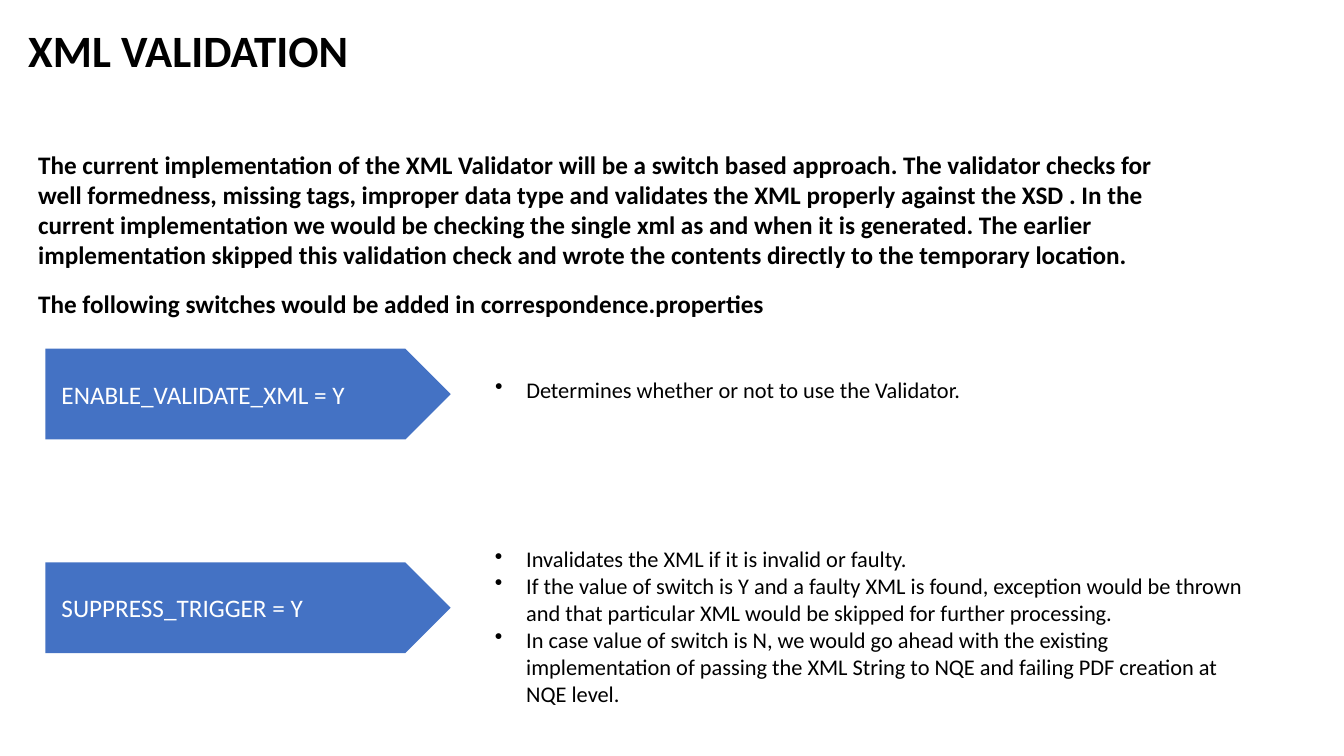
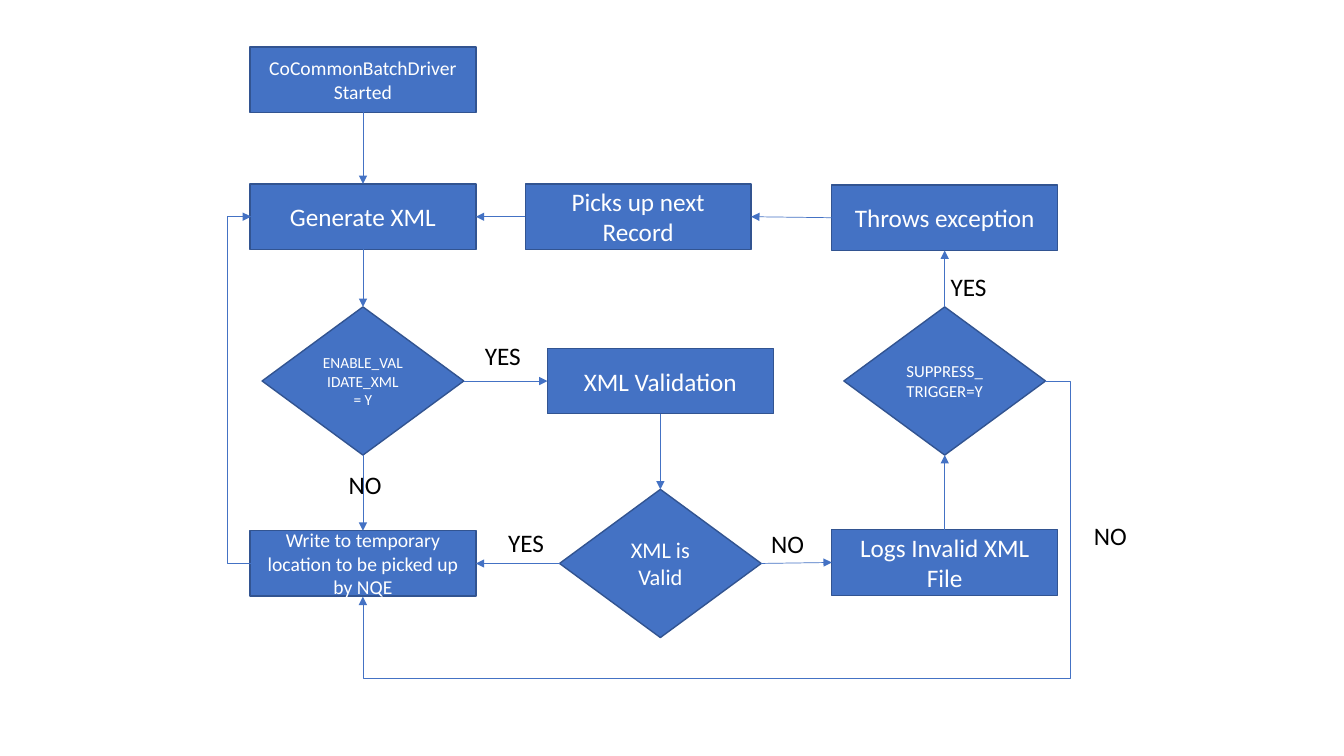
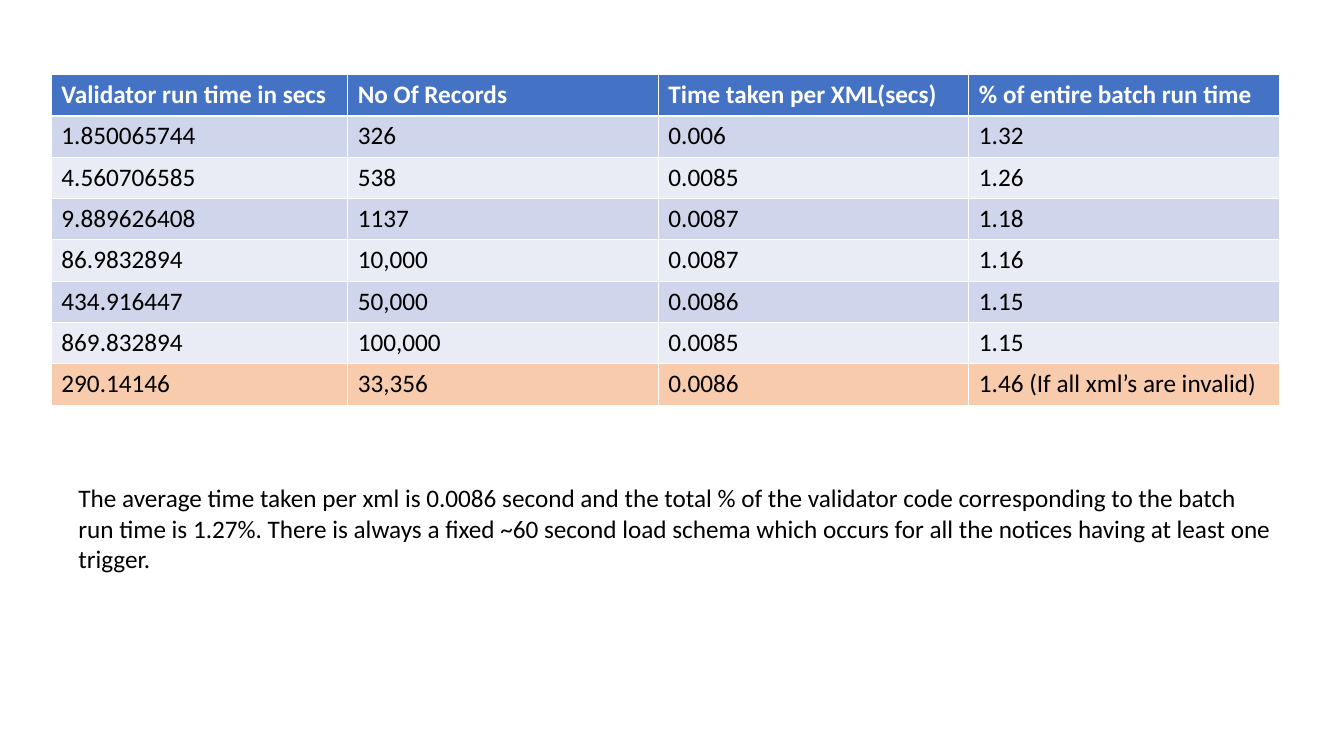
from dataclasses import dataclass
from typing import Optional

import lxml.etree
import pptx
import pptx.dml.color
import pptx.enum.shapes
import pptx.enum.text
import pptx.oxml.ns
import pptx.util

Inches = pptx.util.Inches
Pt = pptx.util.Pt
SHAPES = pptx.enum.shapes.MSO_SHAPE
ALIGN = pptx.enum.text.PP_ALIGN
ANCHOR = pptx.enum.text.MSO_ANCHOR

# Shared look
FONT = "Calibri"
BLUE = "4472C4"
DARK_BLUE = "325491"
BLACK = "000000"
WHITE = "FFFFFF"
BAND_DARK = "CFD5EA"
BAND_LIGHT = "E9EBF5"
HIGHLIGHT = "F8CBAD"
DEFAULT_INSETS = (0.1, 0.05, 0.1, 0.05)
NO_INSETS = (0, 0, 0, 0)

TITLE_ONLY_LAYOUT = 5
BLANK_LAYOUT = 6

# Connection sites of rectangles and diamonds
TOP, LEFT, BOTTOM, RIGHT = range(4)


@dataclass
class Switch:
    setting: str
    arrow_top: float
    bullets: list[str]
    bullets_top: float
    bullets_width: float
    bullets_height: float


@dataclass
class Node:
    text: str
    center_x: float
    center_y: float
    size: int = 18
    decision: bool = False


@dataclass
class Arrow:
    start: str
    start_site: int
    end: str
    end_site: int


@dataclass
class Elbow:
    start: tuple[float, float]
    end: tuple[float, float]
    via_x: float
    via_y: Optional[float] = None


@dataclass
class Label:
    text: str
    left: float
    top: float


INTRODUCTION = [
    "The current implementation of the XML Validator will be a switch based approach. "
    "The validator checks for well formedness, missing tags, improper data type and "
    "validates the XML properly against the XSD . In the current implementation we would "
    "be checking the single xml as and when it is generated. The earlier implementation "
    "skipped this validation check and wrote the contents directly to the temporary location.",
    "The following switches would be added in correspondence.properties",
]

SWITCHES = [
    Switch("ENABLE_VALIDATE_XML = Y", 3.46,
           ["Determines whether or not to use the Validator."], 3.73, 7.05, 1.24),
    Switch("SUPPRESS_TRIGGER = Y", 5.58, [
        "Invalidates the XML if it is invalid or faulty.",
        "If the value of switch is Y and a faulty XML is found, exception would be thrown "
        "and that particular XML would be skipped for further processing.",
        "In case value of switch is N, we would go ahead with the existing implementation of "
        "passing the XML String to NQE and failing PDF creation at NQE level.",
    ], 5.41, 7.44, 1.88),
]

NODES = {
    "start": Node("CoCommonBatchDriver Started", 3.6, 0.79, 14),
    "generate": Node("Generate XML", 3.6, 2.15),
    "next": Node("Picks up next Record", 6.33, 2.15),
    "exception": Node("Throws exception", 9.37, 2.16),
    "enabled": Node("ENABLE_VALIDATE_XML = Y", 3.6, 3.78, 11, True),
    "validation": Node("XML Validation", 6.55, 3.78),
    "suppress": Node("SUPPRESS_TRIGGER=Y", 9.37, 3.78, 12, True),
    "write": Node("Write to temporary location to be picked up by NQE", 3.6, 5.59, 14),
    "valid": Node("XML is Valid", 6.55, 5.59, 16, True),
    "log": Node("Logs Invalid XML File", 9.37, 5.58),
}

ARROWS = [
    Arrow("start", BOTTOM, "generate", TOP),
    Arrow("generate", BOTTOM, "enabled", TOP),
    Arrow("enabled", RIGHT, "validation", LEFT),
    Arrow("enabled", BOTTOM, "write", TOP),
    Arrow("validation", BOTTOM, "valid", TOP),
    Arrow("valid", LEFT, "write", RIGHT),
    Arrow("valid", RIGHT, "log", LEFT),
    Arrow("log", TOP, "suppress", BOTTOM),
    Arrow("suppress", TOP, "exception", BOTTOM),
    Arrow("exception", LEFT, "next", RIGHT),
    Arrow("next", LEFT, "generate", RIGHT),
]

ELBOWS = [
    Elbow((2.5, 5.59), (2.49, 2.15), 2.25),
    Elbow((10.37, 3.78), (3.6, 5.92), 10.62, 6.73),
]

LABELS = [
    Label("YES", 4.71, 3.33),
    Label("YES", 4.94, 5.18),
    Label("YES", 9.33, 2.64),
    Label("NO", 3.36, 4.61),
    Label("NO", 7.55, 5.19),
    Label("NO", 10.75, 5.11),
]

TIMINGS = [
    ["Validator run time in secs", "No Of Records", "Time taken per XML(secs)",
     "% of entire batch run time"],
    ["1.850065744", "326", "0.006", "1.32"],
    ["4.560706585", "538", "0.0085", "1.26"],
    ["9.889626408", "1137", "0.0087", "1.18"],
    ["86.9832894", "10,000", "0.0087", "1.16"],
    ["434.916447", "50,000", "0.0086", "1.15"],
    ["869.832894", "100,000", "0.0085", "1.15"],
    ["290.14146", "33,356", "0.0086", "1.46 (If all xml’s are invalid)"],
]
COLUMN_WIDTHS = [2.94, 3.08, 3.08, 3.08]
ROW_HEIGHT = 0.41

SUMMARY = (
    "The average time taken per xml is 0.0086 second and the total % of the validator code "
    "corresponding to the batch run time is 1.27%. There is always a fixed ~60 second load "
    "schema which occurs for all the notices having at least one trigger."
)


def color(value: str) -> pptx.dml.color.RGBColor:
    return pptx.dml.color.RGBColor.from_string(value)


def add_bullet(paragraph, indent: float) -> None:
    properties = paragraph._p.get_or_add_pPr()
    properties.set("marL", str(Inches(indent)))
    properties.set("indent", str(-Inches(indent)))
    bullet = lxml.etree.SubElement(properties, pptx.oxml.ns.qn("a:buChar"))
    bullet.set("char", "•")


def write_text(frame, *texts: str, size: float = 18, text_color: str = BLACK,
               bold: bool = False, align=ALIGN.LEFT, anchor=ANCHOR.TOP,
               insets: tuple = DEFAULT_INSETS, space_after: float = 0,
               line_spacing: float = 1.0, bullet: bool = False) -> None:
    """Fill a text frame with one paragraph for each text."""
    frame.word_wrap = True
    frame.auto_size = pptx.enum.text.MSO_AUTO_SIZE.NONE
    frame.vertical_anchor = anchor
    (frame.margin_left, frame.margin_top,
     frame.margin_right, frame.margin_bottom) = map(Inches, insets)
    for index, text in enumerate(texts):
        paragraph = frame.add_paragraph() if index else frame.paragraphs[0]
        paragraph.alignment = align
        paragraph.space_before = Pt(0)
        paragraph.space_after = Pt(space_after)
        paragraph.line_spacing = line_spacing
        if bullet:
            add_bullet(paragraph, 0.31)
        run = paragraph.add_run()
        run.text = text
        run.font.name = FONT
        run.font.size = Pt(size)
        run.font.bold = bold
        run.font.color.rgb = color(text_color)


def add_text(slide, box: tuple, *texts: str, **text_format) -> None:
    shape = slide.shapes.add_textbox(*map(Inches, box))
    write_text(shape.text_frame, *texts, **text_format)


def add_filled_shape(slide, kind, box: tuple, text: str,
                     line_color: Optional[str] = None, **text_format):
    shape = slide.shapes.add_shape(kind, *map(Inches, box))
    shape.shadow.inherit = False
    shape.fill.solid()
    shape.fill.fore_color.rgb = color(BLUE)
    if line_color:
        shape.line.color.rgb = color(line_color)
        shape.line.width = Pt(1)
    else:
        shape.line.fill.background()
    write_text(shape.text_frame, text, text_color=WHITE, anchor=ANCHOR.MIDDLE, **text_format)
    return shape


def add_arrow_line(slide, kind, start: tuple = (0, 0), end: tuple = (0, 0)):
    connector = slide.shapes.add_connector(kind, *map(Inches, (*start, *end)))
    connector.line.color.rgb = color(BLUE)
    connector.line.width = Pt(0.5)
    line = connector.line._get_or_add_ln()
    lxml.etree.SubElement(line, pptx.oxml.ns.qn("a:tailEnd")).set("type", "triangle")
    lxml.etree.SubElement(connector._element.spPr, pptx.oxml.ns.qn("a:effectLst"))
    return connector


def add_elbow(slide, elbow: Elbow) -> None:
    """Draw a bent arrow whose corners pass through the via coordinates."""
    connector = add_arrow_line(slide, pptx.enum.shapes.MSO_CONNECTOR.ELBOW,
                               elbow.start, elbow.end)
    (start_x, start_y), (end_x, end_y) = elbow.start, elbow.end
    ratios = [(elbow.via_x - start_x) / (end_x - start_x)]
    geometry = connector._element.spPr.find(pptx.oxml.ns.qn("a:prstGeom"))
    if elbow.via_y is not None:
        ratios.append((elbow.via_y - start_y) / (end_y - start_y))
        geometry.set("prst", "bentConnector4")
    adjustments = geometry.find(pptx.oxml.ns.qn("a:avLst"))
    for number, ratio in enumerate(ratios, start=1):
        guide = lxml.etree.SubElement(adjustments, pptx.oxml.ns.qn("a:gd"))
        guide.set("name", f"adj{number}")
        guide.set("fmla", f"val {round(ratio * 100000)}")


def add_node(slide, node: Node):
    kind, width, height = (
        (SHAPES.DIAMOND, 2, 1.47) if node.decision else (SHAPES.RECTANGLE, 2.24, 0.65))
    box = (node.center_x - width / 2, node.center_y - height / 2, width, height)
    return add_filled_shape(slide, kind, box, node.text, line_color=DARK_BLUE,
                            size=node.size, align=ALIGN.CENTER)


def add_slide(presentation, layout: int):
    return presentation.slides.add_slide(presentation.slide_layouts[layout])


def build_switches_slide(presentation) -> None:
    slide = add_slide(presentation, TITLE_ONLY_LAYOUT)
    title = slide.shapes.title
    title.left, title.top, title.width, title.height = map(Inches, (0.28, 0.29, 12.54, 1.31))
    write_text(title.text_frame, "XML VALIDATION", size=32, bold=True,
               insets=NO_INSETS, line_spacing=0.9)
    add_text(slide, (0.28, 1.43, 11.49, 1.44), *INTRODUCTION, bold=True, space_after=13.3)
    for switch in SWITCHES:
        add_filled_shape(slide, SHAPES.PENTAGON, (0.45, switch.arrow_top, 4.02, 0.9),
                         switch.setting, insets=(0.16, 0.1, 0.1, 0.1))
        add_text(slide, (4.91, switch.bullets_top, switch.bullets_width, switch.bullets_height),
                 *switch.bullets, size=16, insets=NO_INSETS, bullet=True)


def build_flowchart_slide(presentation) -> None:
    slide = add_slide(presentation, BLANK_LAYOUT)
    shapes = {name: add_node(slide, node) for name, node in NODES.items()}
    for arrow in ARROWS:
        connector = add_arrow_line(slide, pptx.enum.shapes.MSO_CONNECTOR.STRAIGHT)
        connector.begin_connect(shapes[arrow.start], arrow.start_site)
        connector.end_connect(shapes[arrow.end], arrow.end_site)
    for elbow in ELBOWS:
        add_elbow(slide, elbow)
    for label in LABELS:
        add_text(slide, (label.left, label.top, 1.22, 0.4), label.text)


def build_timings_slide(presentation) -> None:
    slide = add_slide(presentation, BLANK_LAYOUT)
    row_count = len(TIMINGS)
    box = (0.51, 0.74, sum(COLUMN_WIDTHS), ROW_HEIGHT * row_count)
    table = slide.shapes.add_table(row_count, len(COLUMN_WIDTHS), *map(Inches, box)).table
    for column, width in zip(table.columns, COLUMN_WIDTHS):
        column.width = Inches(width)
    # Header, alternating bands, highlighted last row
    bands = [BAND_DARK if index % 2 else BAND_LIGHT for index in range(1, row_count - 1)]
    fills = [BLUE, *bands, HIGHLIGHT]
    for row_index, (values, fill) in enumerate(zip(TIMINGS, fills)):
        header = row_index == 0
        table.rows[row_index].height = Inches(ROW_HEIGHT)
        for column_index, value in enumerate(values):
            cell = table.cell(row_index, column_index)
            cell.fill.solid()
            cell.fill.fore_color.rgb = color(fill)
            run = cell.text_frame.paragraphs[0].add_run()
            run.text = value
            run.font.name = FONT
            run.font.size = Pt(18)
            run.font.bold = header
            run.font.color.rgb = color(WHITE if header else BLACK)
    add_text(slide, (0.68, 4.74, 12.06, 1.31), SUMMARY)


def main() -> None:
    presentation = pptx.Presentation()
    presentation.slide_width = Inches(13.33)
    presentation.slide_height = Inches(7.5)
    build_switches_slide(presentation)
    build_flowchart_slide(presentation)
    build_timings_slide(presentation)
    presentation.save("out.pptx")


if __name__ == "__main__":
    main()
